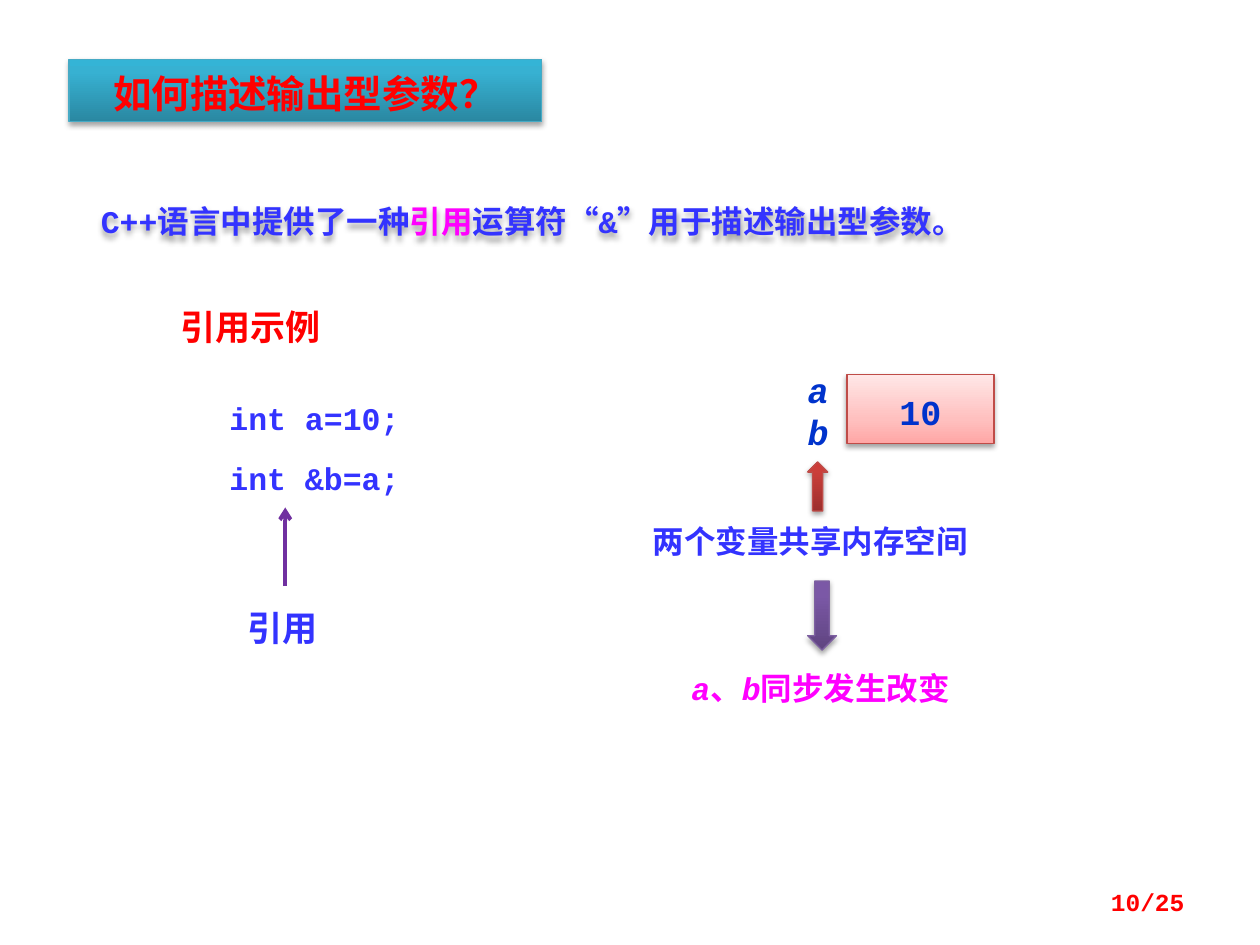
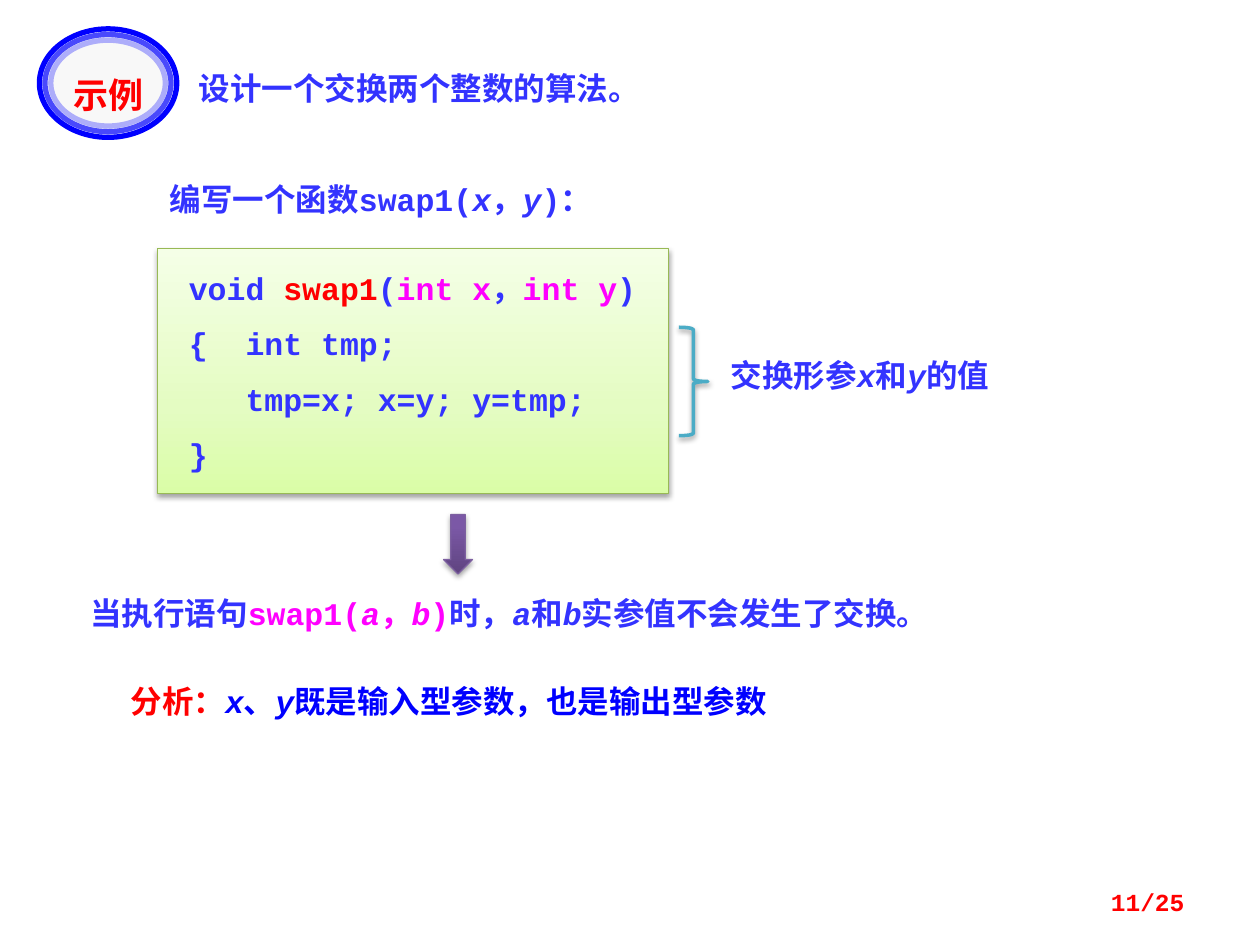
import pptx
import pptx.util
import pptx.dml.color
import pptx.enum.dml
import pptx.enum.shapes
import pptx.enum.text
import pptx.oxml
import pptx.oxml.ns
from lxml import etree

Pt = pptx.util.Pt
qn = pptx.oxml.ns.qn
SHAPE = pptx.enum.shapes.MSO_SHAPE
ALIGN = pptx.enum.text.PP_ALIGN
ANCHOR = pptx.enum.text.MSO_ANCHOR

COLORS = {
    "text": "3333FF", "key": "FF00FF", "red": "FF0000", "memory": "0033CC",
    "ring": "0000FF", "badge": "F8F8F8", "pointer": "7030A0", "brace": "4BACC6",
}
# Each style: line colour and gradient stops, from bottom to top
GRADIENTS = {
    "teal": ("46AAC5", ((0, "2A88A2"), (80, "37B1D2"), (100, "34B4D6"))),
    "red": ("BF4C48", ((0, "9C2F2D"), (80, "CB3E3A"), (100, "CE3B37"))),
    "purple": ("7D60A0", ((0, "5F4480"), (80, "7B58A6"), (100, "7C57A8"))),
    "pink": ("BF4C48", ((0, "FFA6A5"), (35, "FFC0BF"), (100, "FFE7E7"))),
    "green": ("98B955", ((0, "DAFDA7"), (35, "E4FCC2"), (100, "F5FFE7"))),
}
LATIN_FONT = "Courier New"
CJK_FONT = "Noto Sans CJK SC"
PAGE_COUNT = 25


def rgb(name):
    return pptx.dml.color.RGBColor.from_string(COLORS.get(name, name))


def place(sp, box):
    sp.left, sp.top, sp.width, sp.height = (Pt(v) for v in box)


def set_line(sp, color, width):
    sp.line.color.rgb = rgb(color)
    sp.line.width = Pt(width)


def add_shadow(sp):
    sp.shadow.inherit = False
    effects = sp.element.spPr.find(qn("a:effectLst"))
    shadow = etree.SubElement(effects, qn("a:outerShdw"), blurRad=str(Pt(3.1)),
                              dist=str(Pt(1.7)), dir="5400000", rotWithShape="0")
    color = etree.SubElement(shadow, qn("a:srgbClr"), val="000000")
    etree.SubElement(color, qn("a:alpha"), val="37000")


def apply_gradient(sp, style):
    """Give a shape the fill, line and shadow of a gradient style."""
    line, stops = GRADIENTS[style]
    sp.fill.gradient()
    sp.fill.gradient_angle = 90
    gs_list = sp.element.spPr.find(".//" + qn("a:gsLst"))
    gs_list.clear()
    for position, color in stops:
        gs = etree.SubElement(gs_list, qn("a:gs"), pos=str(position * 1000))
        etree.SubElement(gs, qn("a:srgbClr"), val=color)
    set_line(sp, line, 0.75)
    add_shadow(sp)


def write(sp, lines, size=18, color="text", align=ALIGN.LEFT, anchor=ANCHOR.TOP,
          spacing=1.1, insets=(7.2, 3.6, 7.2, 3.6), font=LATIN_FONT):
    """Fill a shape with paragraphs.

    A line is a string or a list of strings and (string, colour) pairs;
    text between asterisks is italic.
    """
    tf = sp.text_frame
    tf.word_wrap = True
    tf.auto_size = pptx.enum.text.MSO_AUTO_SIZE.NONE
    tf.vertical_anchor = anchor
    tf.margin_left, tf.margin_top, tf.margin_right, tf.margin_bottom = map(Pt, insets)
    for i, line in enumerate(lines):
        p = tf.add_paragraph() if i else tf.paragraphs[0]
        p.alignment = align
        p.line_spacing = spacing
        p.space_before = Pt(10.2 if i else 0)
        p.font.size = Pt(size)
        p.font.bold = True
        p.font.color.rgb = rgb(color)
        p.font.name = font
        etree.SubElement(p.font._element, qn("a:ea"), typeface=CJK_FONT)
        for part in [line] if isinstance(line, str) else line:
            text, run_color = (part, None) if isinstance(part, str) else part
            for j, piece in enumerate(text.split("*")):
                if not piece:
                    continue
                r = p.add_run()
                r.text = piece
                if j % 2:
                    r.font.italic = True
                if run_color:
                    r.font.color.rgb = rgb(run_color)


def add_text(s, box, *lines, **style):
    sp = s.shapes.add_textbox(*map(Pt, box))
    write(sp, lines, **style)
    return sp


def add_block(s, kind, box, gradient):
    sp = s.shapes.add_shape(kind, *map(Pt, box))
    apply_gradient(sp, gradient)
    return sp


def add_pointer(s, x, y_from, y_to):
    c = s.shapes.add_connector(pptx.enum.shapes.MSO_CONNECTOR.STRAIGHT,
                               Pt(x), Pt(y_from), Pt(x), Pt(y_to))
    set_line(c, "pointer", 2.25)
    etree.SubElement(c.line._get_or_add_ln(), qn("a:tailEnd"), type="arrow")
    etree.SubElement(c.element.spPr, qn("a:effectLst"))


def add_brace(s, box):
    sp = s.shapes.add_shape(SHAPE.RIGHT_BRACE, *map(Pt, box))
    sp.fill.background()
    set_line(sp, "brace", 2)
    add_shadow(sp)


def add_badge(s, text):
    """Draw nested rings that fade inwards, with a label in the middle."""
    x, y, width, height, step = 22.5, 16.5, 78.5, 62, 3.25
    for i, alpha in enumerate((100, 70, 30)):
        d = i * step
        ring = s.shapes.add_shape(SHAPE.OVAL, Pt(x + d), Pt(y + d),
                                  Pt(width - 2 * d), Pt(height - 2 * d))
        ring.shadow.inherit = False
        set_line(ring, "ring", 3)
        if i:
            ring.fill.background()
            color = ring.element.spPr.find(qn("a:ln")).find(".//" + qn("a:srgbClr"))
            etree.SubElement(color, qn("a:alpha"), val=str(alpha * 1000))
        else:
            ring.fill.solid()
            ring.fill.fore_color.rgb = rgb("badge")
    add_text(s, (27.5, 36, 69, 28), text, size=20, color="red", align=ALIGN.CENTER,
             font=CJK_FONT)


def new_slide(prs, page, title, box, **style):
    s = prs.slides.add_slide(prs.slide_layouts[5])
    place(s.shapes.title, box)
    write(s.shapes.title, [title], **style)
    add_text(s, (516, 500.5, 168, 29), f"{page}/{PAGE_COUNT}", size=14, color="red",
             align=ALIGN.RIGHT, anchor=ANCHOR.MIDDLE, spacing=1.0)
    return s


def build_reference_slide(prs):
    s = new_slide(prs, 10, "如何描述输出型参数？", (39.5, 34, 270, 35.5),
                  size=22, color="red", align=ALIGN.CENTER)
    apply_gradient(s.shapes.title, "teal")
    intro = add_text(s, (50.5, 109.5, 641.5, 29.5),
                     ["C++语言中提供了一种", ("引用", "key"),
                      "运算符“&”用于描述输出型参数。"])
    add_shadow(intro)

    add_text(s, (96, 168.5, 124, 32.5), "引用示例", size=20, color="red")
    add_text(s, (124, 222.5, 140.5, 65), "int a=10;", "int &b=a;")
    add_pointer(s, 163, 335, 290)
    add_text(s, (134.5, 340.5, 62, 32.5), "引用", size=20, font=CJK_FONT)

    for name, top in (("a", 208), ("b", 232)):
        add_text(s, (461.5, top, 16.5, 26.5), f"*{name}*", size=20, color="memory",
                 insets=(0, 0, 0, 0))
    cell = add_block(s, SHAPE.RECTANGLE, (484, 214, 84, 39.5), "pink")
    write(cell, ["10"], size=20, color="memory", align=ALIGN.CENTER, anchor=ANCHOR.MIDDLE)
    add_block(s, SHAPE.UP_ARROW, (461.5, 264, 11.5, 28), "red")
    add_text(s, (366, 292.5, 253.5, 32.5), "两个变量共享内存空间", font=CJK_FONT)
    add_block(s, SHAPE.DOWN_ARROW, (461.5, 332, 16.5, 39.5), "purple")
    add_text(s, (388, 376.5, 163.5, 31), "*a*、*b*同步发生改变", color="key")


def build_swap_slide(prs):
    s = new_slide(prs, 11, "设计一个交换两个整数的算法。", (106.5, 36, 309.5, 29),
                  spacing=1.0)
    add_badge(s, "示例")

    add_text(s, (90, 97, 354, 29.5), "编写一个函数swap1(*x*，*y*)：")
    code = add_block(s, SHAPE.RECTANGLE, (90, 142, 292, 140), "green")
    write(code, [[" void ", ("swap1", "red"), "(", ("int x", "key"), "，",
                  ("int y", "key"), ")"],
                 " {  int tmp;",
                 "    tmp=x; x=y; y=tmp;",
                 " }"], spacing=1.0, insets=(7.2, 11.5, 7.2, 8.5))
    add_brace(s, (388, 187, 16.5, 62))
    add_text(s, (410.5, 198, 191.5, 29.5), "交换形参*x*和*y*的值")

    add_block(s, SHAPE.DOWN_ARROW, (253.5, 294, 16.5, 34), "purple")
    add_text(s, (44.5, 333.5, 607.5, 29.5),
             ["当执行语句", ("swap1(*a*，*b*)", "key"),
              "时，*a*和*b*实参值不会发生了交换。"])
    add_text(s, (67.5, 384, 450, 30),
             [("分析：", "red"), "*x*、*y*既是输入型参数，也是输出型参数"], color="ring")


def main():
    prs = pptx.Presentation()
    prs.slide_width, prs.slide_height = Pt(720), Pt(540)
    build_reference_slide(prs)
    build_swap_slide(prs)
    prs.save("out.pptx")


if __name__ == "__main__":
    main()
